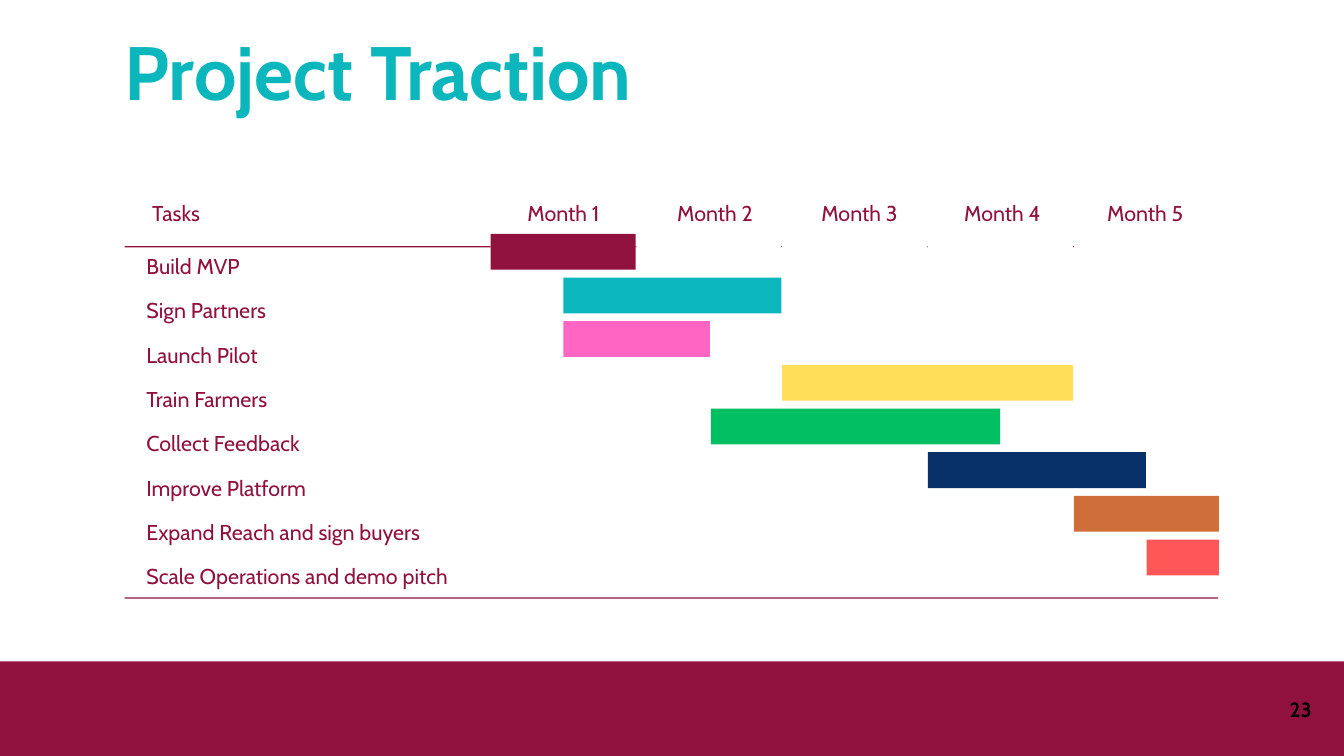
from dataclasses import dataclass

from pptx import Presentation
from pptx.dml.color import RGBColor
from pptx.enum.shapes import MSO_SHAPE
from pptx.enum.text import PP_ALIGN
from pptx.util import Inches, Pt


@dataclass(frozen=True)
class Theme:
    font: str = "Cabin"
    wine: str = "90113E"
    teal: str = "0BB6BC"
    white: str = "FFFFFF"
    black: str = "000000"
    title: float = 81
    body: float = 23
    number: float = 22


class Gantt:
    """A slide on a grid: a column is one month, a row is one task.

    Column 0 is the start of month 1, row 0 the top of the first bar.
    """

    LEFT, TOP, COL, ROW = 7.3, 3.48, 2.17, 0.65

    def __init__(self, deck, theme):
        self.theme = theme
        self.deck = deck
        self.slide = deck.slides.add_slide(deck.slide_layouts[6])

    def grid(self, col, row, cols, rows):
        return [Inches(v) for v in (
            self.LEFT + col * self.COL, self.TOP + row * self.ROW,
            cols * self.COL, rows * self.ROW)]

    def fill(self, box, color):
        shape = self.slide.shapes.add_shape(MSO_SHAPE.RECTANGLE, *box)
        shape.shadow.inherit = False
        shape.fill.solid()
        shape.fill.fore_color.rgb = RGBColor.from_string(color)
        shape.line.fill.background()

    def block(self, col, row, cols, rows, color):
        self.fill(self.grid(col, row, cols, rows), color)

    def band(self, top, color):
        """Fill the slide from a share of its height down to its foot."""
        wide, high = self.deck.slide_width, self.deck.slide_height
        start = int(high * top)
        self.fill((0, start, wide, high - start), color)

    def text(self, words, col, row, cols, rows, color, size, lead,
             align=PP_ALIGN.LEFT, bold=False):
        frame = self.slide.shapes.add_textbox(
            *self.grid(col, row, cols, rows)).text_frame
        para = frame.paragraphs[0]
        para.text = words
        formats = (
            (frame, dict(word_wrap=True, margin_left=0, margin_right=0,
                         margin_top=0, margin_bottom=0)),
            (para, dict(alignment=align, line_spacing=Pt(lead))),
            (para.runs[0].font, dict(name=self.theme.font, size=Pt(size),
                                     bold=bold)),
        )
        for target, values in formats:
            for name, value in values.items():
                setattr(target, name, value)
        para.runs[0].font.color.rgb = RGBColor.from_string(color)

    def label(self, words, col, row, cols, align=PP_ALIGN.JUSTIFY):
        self.text(words, col, row, cols, 0.75, self.theme.wine,
                  self.theme.body, 32.2, align)


# Task, first month, last month, colour
TASKS = [
    ("Build MVP", 0, 1, Theme.wine),
    ("Sign Partners", 0.5, 2, Theme.teal),
    ("Launch Pilot", 0.5, 1.51, "FF66C4"),
    ("Train Farmers", 2, 4, "FFDE59"),
    ("Collect Feedback", 1.51, 3.5, "00BF63"),
    ("Improve Platform", 3, 4.5, "083169"),
    ("Expand Reach and sign buyers", 4, 5, "CF6E38"),
    ("Scale Operations and demo pitch", 4.5, 5, "FF5757"),
]
CENTERS = [0.5, 1.54, 2.53, 3.51, 4.49]
EDGE, SPAN = -2.51, 7.5
GAP = 0.005


def main():
    deck = Presentation()
    deck.slide_width, deck.slide_height = Inches(20), Inches(11.25)
    theme = Theme()
    chart = Gantt(deck, theme)

    for row in (0.28, 8.32):
        chart.block(EDGE, row, SPAN, 0.03, theme.wine)

    chart.label("Tasks", -2.32, -0.88, 2.2)
    for month, center in enumerate(CENTERS):
        chart.block(month, -1.2, 1 - GAP, 1.52, theme.white)
        chart.label(f"Month {month + 1}", center - 0.33, -0.88, 0.66,
                    PP_ALIGN.CENTER)

    for row, (task, start, end, color) in enumerate(TASKS):
        chart.label(task, -2.36, 0.34 + 1.015 * row, 2.24)
        chart.block(start, row, end - start - GAP, 0.82, color)

    chart.text("Project Traction", EDGE, -4.78, 7.42, 2.09, theme.teal,
               theme.title, 97.2, bold=True)
    chart.band(0.875, theme.wine)
    chart.text("23", 5.23, 10.58, 0.4, 0.62, theme.black, theme.number,
               27.5, PP_ALIGN.RIGHT, True)
    deck.save("out.pptx")


if __name__ == "__main__":
    main()
